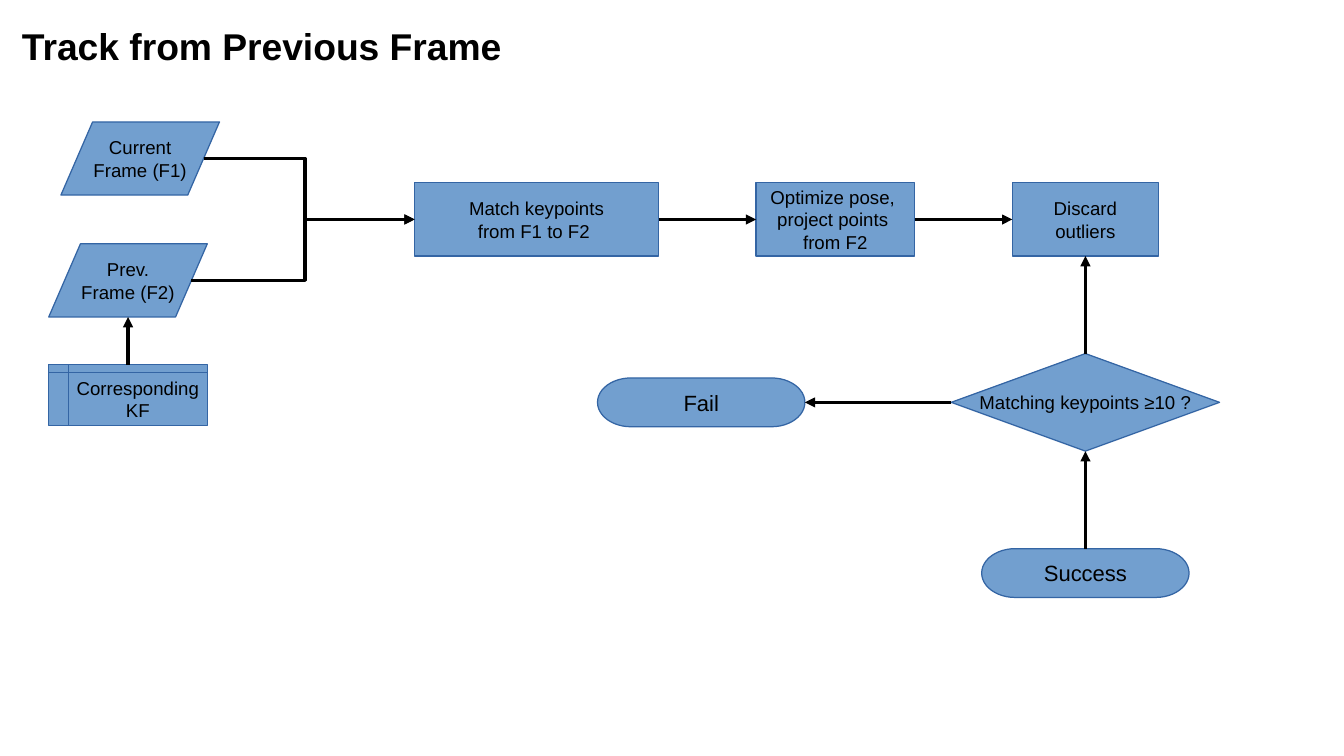
from lxml.etree import SubElement
from pptx import Presentation
from pptx.dml.color import RGBColor
from pptx.enum.shapes import MSO_CONNECTOR, MSO_SHAPE
from pptx.enum.text import MSO_ANCHOR, PP_ALIGN
from pptx.oxml.ns import qn
from pptx.util import Inches, Pt

TITLE = "Track from Previous Frame"
COLORS = {"fill": "729FCF", "edge": "3465A4", "ink": "000000"}
DATA = MSO_SHAPE.FLOWCHART_DATA
STORE = MSO_SHAPE.FLOWCHART_INTERNAL_STORAGE
STEP = MSO_SHAPE.FLOWCHART_PROCESS
TEST = MSO_SHAPE.FLOWCHART_DECISION
END = MSO_SHAPE.FLOWCHART_TERMINATOR

# name: kind, left, top, width, height, text size, lines
NODES = {
    "current": (DATA, 0.5, 1, 1.3, 0.6, 11, ["Current", "Frame (F1)"]),
    "prev": (DATA, 0.4, 2, 1.3, 0.6, 11, ["Prev.", "Frame (F2)"]),
    "keyframe": (STORE, 0.4, 2.99, 1.3, 0.5, 11, ["Corresponding", "KF"]),
    "match": (STEP, 3.4, 1.5, 2, 0.6, 11, ["Match keypoints", "from F1 to F2 "]),
    "pose": (STEP, 6.2, 1.5, 1.3, 0.6, 11,
             ["Optimize pose, ", "project points ", "from F2"]),
    "discard": (STEP, 8.3, 1.5, 1.2, 0.6, 11, ["Discard", "outliers"]),
    "enough": (TEST, 7.8, 2.9, 2.2, 0.8, 11, ["Matching keypoints ≥10 ?"]),
    "fail": (END, 4.9, 3.1, 1.7, 0.4, 13, ["Fail"]),
    "success": (END, 8.05, 4.5, 1.7, 0.4, 13, ["Success"]),
}
LINKS = [
    ("current", "right", "match", "left"),
    ("prev", "right", "match", "left"),
    ("keyframe", "top", "prev", "bottom"),
    ("match", "right", "pose", "left"),
    ("pose", "right", "discard", "left"),
    ("enough", "top", "discard", "bottom"),
    ("enough", "left", "fail", "right"),
    ("success", "top", "enough", "bottom"),
]
SIDES = ["top", "left", "bottom", "right"]  # order of connection sites
BEND = 2.5  # x where the two frame inputs join


def color(name):
    return RGBColor.from_string(COLORS[name])


def style(item, **values):
    for key, value in values.items():
        setattr(item, key, value)


def write(frame, lines, size, align, bold=False):
    for i, line in enumerate(lines):
        para = frame.paragraphs[0] if i == 0 else frame.add_paragraph()
        para.alignment = align
        run = para.add_run()
        run.text = line
        style(run.font, name="Arial", size=Pt(size), bold=bold)
        run.font.color.rgb = color("ink")


def add_node(slide, kind, left, top, width, height, size, lines):
    shape = slide.shapes.add_shape(kind, *map(Inches, (left, top, width, height)))
    shape.shadow.inherit = False
    shape.fill.solid()
    shape.fill.fore_color.rgb = color("fill")
    shape.line.color.rgb = color("edge")
    shape.line.width = Pt(0)
    style(shape.text_frame, word_wrap=False, vertical_anchor=MSO_ANCHOR.MIDDLE)
    write(shape.text_frame, lines, size, PP_ALIGN.CENTER)
    return shape


def point(name, side):
    """Middle of a node's side; a slanted data side lies inside its box."""
    kind, left, top, width, height = NODES[name][:5]
    reach = 0.9 if kind == DATA else 1
    fx, fy = {"top": (0.5, 0), "left": (1 - reach, 0.5),
              "bottom": (0.5, 1), "right": (reach, 0.5)}[side]
    return left + fx * width, top + fy * height


def add_link(slide, shapes, start, out, stop, into):
    (x1, y1), (x2, y2) = point(start, out), point(stop, into)
    bent = x1 != x2 and abs(y1 - y2) > 0.01
    kind = MSO_CONNECTOR.ELBOW if bent else MSO_CONNECTOR.STRAIGHT
    link = slide.shapes.add_connector(kind, *map(Inches, (x1, y1, x2, y2)))
    if DATA not in (NODES[start][0], NODES[stop][0]):
        link.begin_connect(shapes[start], SIDES.index(out))
        link.end_connect(shapes[stop], SIDES.index(into))
    link.line.color.rgb = color("ink")
    link.line.width = Pt(0)
    props = link._element.spPr
    SubElement(props.find(qn("a:ln")), qn("a:tailEnd"), type="triangle")
    SubElement(props, qn("a:effectLst"))
    if bent:
        share = round((BEND - x1) / (x2 - x1) * 100000)
        guides = props.find(qn("a:prstGeom")).get_or_add_avLst()
        SubElement(guides, qn("a:gd"), name="adj1", fmla=f"val {share}")


def main():
    deck = Presentation()
    style(deck, slide_width=Inches(11.02), slide_height=Inches(6.2))
    slide = deck.slides.add_slide(deck.slide_layouts[5])
    title = slide.shapes.title
    style(title, left=Inches(0.18), top=Inches(0.15),
          width=Inches(5.32), height=Inches(0.45))
    style(title.text_frame, margin_left=0, margin_right=0, margin_top=0,
          margin_bottom=0, vertical_anchor=MSO_ANCHOR.MIDDLE, word_wrap=True)
    write(title.text_frame, [TITLE], 22, PP_ALIGN.LEFT, bold=True)
    shapes = {name: add_node(slide, *node) for name, node in NODES.items()}
    for link in LINKS:
        add_link(slide, shapes, *link)
    deck.save("out.pptx")


if __name__ == "__main__":
    main()
